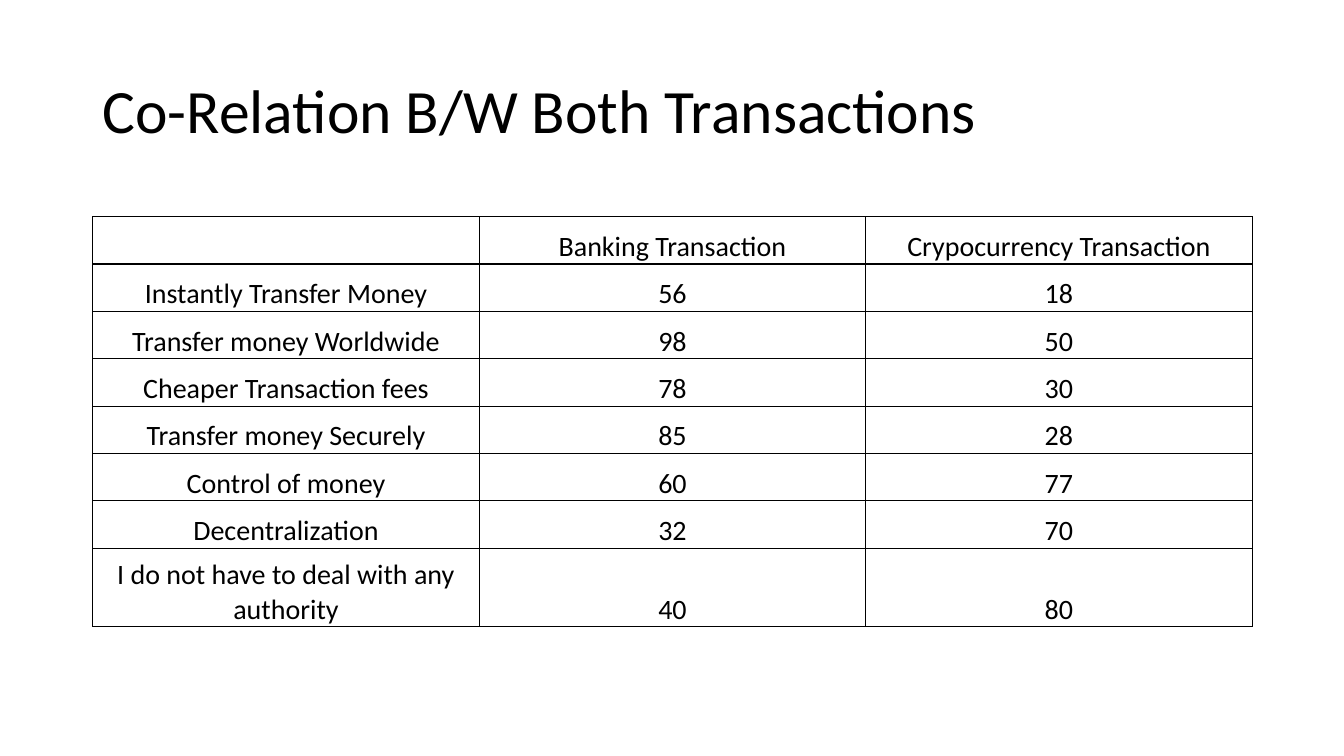
from lxml import etree
from pptx import Presentation
from pptx.dml.color import RGBColor
from pptx.enum import text
from pptx.oxml import ns
from pptx.util import Inches, Pt

COLORS = {"ink": "000000", "paper": "FFFFFF"}

ROWS = [
    ("", "Banking Transaction", "Crypocurrency Transaction"),
    ("Instantly Transfer Money", "56", "18"),
    ("Transfer money Worldwide", "98", "50"),
    ("Cheaper Transaction fees", "78", "30"),
    ("Transfer money Securely", "85", "28"),
    ("Control of money", "60", "77"),
    ("Decentralization", "32", "70"),
    ("I do not have to deal with any authority", "40", "80"),
]


class SlideBuilder:
    font = "Calibri"
    title_size = 44
    cell_size = 20
    border_width = 1

    def __init__(self, slide):
        self.slide = slide

    def set_text(self, tf, words, size):
        tf.text = words
        p = tf.paragraphs[0]
        p.font.size = Pt(size)
        for r in p.runs:
            r.font.name = self.font
            r.font.size = Pt(size)
            r.font.color.rgb = RGBColor.from_string(COLORS["ink"])
        return p

    def title(self, words, left, top, width, height):
        box = self.slide.shapes.add_textbox(
            Inches(left), Inches(top), Inches(width), Inches(height))
        tf = box.text_frame
        tf.word_wrap = True
        tf.vertical_anchor = text.MSO_ANCHOR.MIDDLE
        self.set_text(tf, words, self.title_size).line_spacing = 0.9

    def border(self, cell):
        tc_pr = cell._tc.get_or_add_tcPr()
        for side in ("lnL", "lnR", "lnT", "lnB"):
            line = etree.SubElement(tc_pr, ns.qn(f"a:{side}"), w=str(Pt(self.border_width)))
            fill = etree.SubElement(line, ns.qn("a:solidFill"))
            etree.SubElement(fill, ns.qn("a:srgbClr"), val=COLORS["ink"])

    def cell(self, cell, words):
        self.border(cell)
        cell.fill.solid()
        cell.fill.fore_color.rgb = RGBColor.from_string(COLORS["paper"])
        cell.margin_left = cell.margin_right = cell.margin_top = Inches(0.01)
        cell.margin_bottom = 0
        cell.vertical_anchor = text.MSO_ANCHOR.BOTTOM
        p = self.set_text(cell.text_frame, words, self.cell_size)
        p.alignment = text.PP_ALIGN.CENTER

    def table(self, rows, left, top, width, row_height, last_height):
        heights = [row_height] * (len(rows) - 1) + [last_height]
        frame = self.slide.shapes.add_table(
            len(rows), len(rows[0]), Inches(left), Inches(top),
            Inches(width), Inches(sum(heights)))
        table = frame.table
        table.first_row = table.horz_banding = False
        for row, height, values in zip(table.rows, heights, rows):
            row.height = Inches(height)
            for cell, words in zip(row.cells, values):
                self.cell(cell, words)


def main():
    prs = Presentation()
    prs.slide_width, prs.slide_height = Inches(13.33), Inches(7.5)
    builder = SlideBuilder(prs.slides.add_slide(prs.slide_layouts[6]))
    builder.title("Co-Relation B/W Both Transactions", 0.92, 0.4, 11.5, 1.45)
    builder.table(ROWS, 0.92, 2.15, 11.5, row_height=0.47, last_height=0.78)
    prs.save("out.pptx")


if __name__ == "__main__":
    main()
